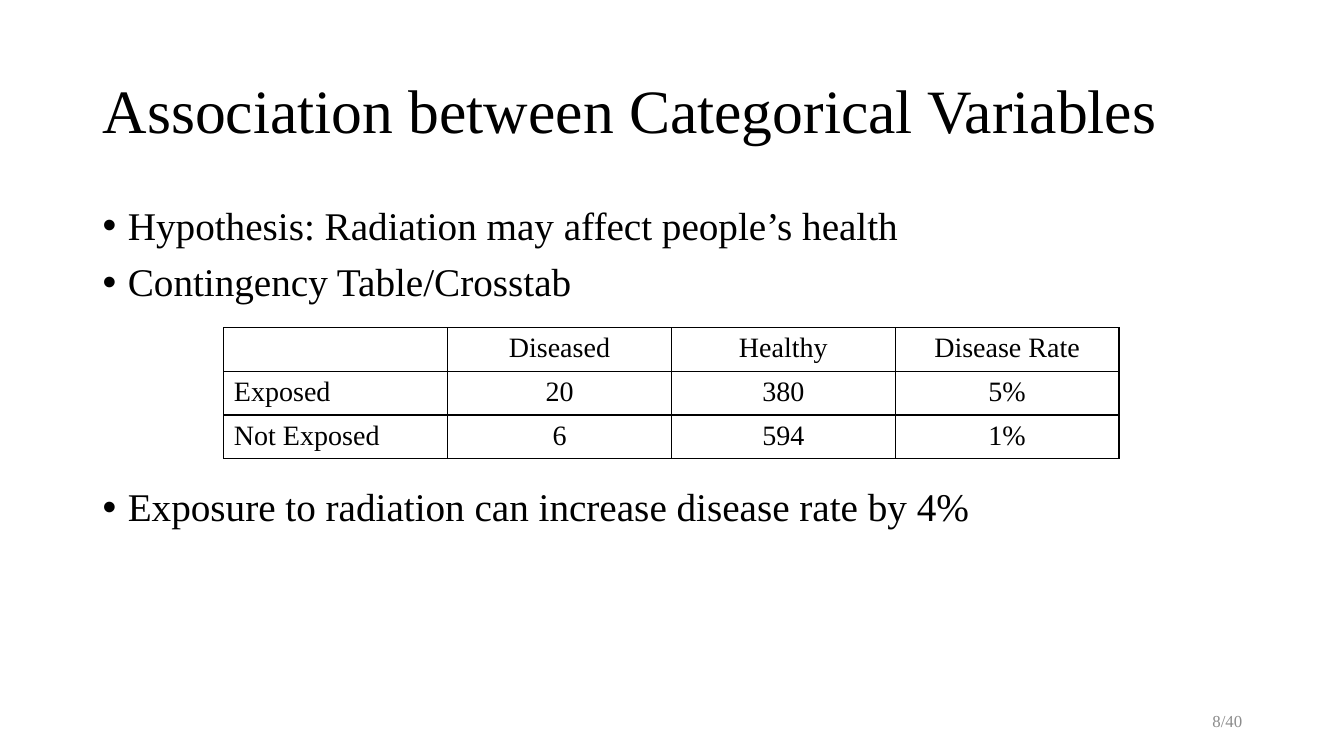
import pptx
import pptx.dml.color
import pptx.enum.text
import pptx.oxml.ns
import pptx.util
from lxml import etree

Inches, Pt = pptx.util.Inches, pptx.util.Pt
ALIGN = pptx.enum.text.PP_ALIGN
ANCHOR = pptx.enum.text.MSO_ANCHOR

# Content
TITLE = "Association between Categorical Variables"
BULLETS = [  # text, space before in points; the last one clears the table
    ("Hypothesis: Radiation may affect people’s health", 0),
    ("Contingency Table/Crosstab", 10),
    ("Exposure to radiation can increase disease rate by 4%", 130.5),
]
CROSSTAB = [
    ("", "Diseased", "Healthy", "Disease Rate"),
    ("Exposed", "20", "380", "5%"),
    ("Not Exposed", "6", "594", "1%"),
]
PAGE_NUMBER = "8/40"

# Style and layout
FONT, BLACK, GREY = "Times New Roman", "000000", "8C8C8C"
LEFT, WIDTH = 0.92, 11.5
TABLE_LEFT, TABLE_TOP, COLUMN_WIDTH, ROW_HEIGHT = 2.22, 3.25, 2.22, 0.41


def color(value):
    return pptx.dml.color.RGBColor.from_string(value)


def style(paragraph, size, value=BLACK):
    paragraph.font.name = FONT
    paragraph.font.size = Pt(size)
    paragraph.font.color.rgb = color(value)


def add_box(page, left, top, width, height, anchor):
    frame = page.shapes.add_textbox(*map(Inches, (left, top, width, height))).text_frame
    frame.word_wrap = True
    frame.vertical_anchor = anchor
    return frame


def add_bullet(paragraph):
    properties = paragraph._p.get_or_add_pPr()
    properties.set("marL", str(Inches(0.25)))
    properties.set("indent", str(-Inches(0.25)))
    for tag, name, value in (("a:buFont", "typeface", "Arial"), ("a:buChar", "char", "•")):
        etree.SubElement(properties, pptx.oxml.ns.qn(tag)).set(name, value)


def add_borders(cell):
    properties = cell._tc.get_or_add_tcPr()
    for index, side in enumerate(("a:lnL", "a:lnR", "a:lnT", "a:lnB")):
        line = etree.Element(pptx.oxml.ns.qn(side), w=str(Pt(1)))
        fill = etree.SubElement(line, pptx.oxml.ns.qn("a:solidFill"))
        etree.SubElement(fill, pptx.oxml.ns.qn("a:srgbClr"), val=BLACK)
        properties.insert(index, line)


deck = pptx.Presentation()
deck.slide_width, deck.slide_height = Inches(13.33), Inches(7.5)
page = deck.slides.add_slide(deck.slide_layouts[6])

# Title
frame = add_box(page, LEFT, 0.4, WIDTH, 1.45, ANCHOR.MIDDLE)
frame.text = TITLE
frame.paragraphs[0].line_spacing = 0.9
style(frame.paragraphs[0], 44)

# Bullets
frame = add_box(page, LEFT, 2, WIDTH, 4.76, ANCHOR.TOP)
frame.text = "\n".join(text for text, space in BULLETS)
for paragraph, (text, space) in zip(frame.paragraphs, BULLETS):
    add_bullet(paragraph)
    paragraph.line_spacing = 0.9
    paragraph.space_before = Pt(space)
    style(paragraph, 28)

# Contingency table
rows, columns = len(CROSSTAB), len(CROSSTAB[0])
table = page.shapes.add_table(
    rows, columns, Inches(TABLE_LEFT), Inches(TABLE_TOP),
    Inches(columns * COLUMN_WIDTH), Inches(rows * ROW_HEIGHT)).table
table.first_row = table.horz_banding = False
for column in table.columns:
    column.width = Inches(COLUMN_WIDTH)
for row, texts in enumerate(CROSSTAB):
    table.rows[row].height = Inches(ROW_HEIGHT)
    for column, text in enumerate(texts):
        cell = table.cell(row, column)
        cell.fill.background()
        add_borders(cell)
        cell.text = text
        paragraph = cell.text_frame.paragraphs[0]
        paragraph.alignment = ALIGN.CENTER if column else ALIGN.LEFT
        style(paragraph, 20)

# Page number
frame = add_box(page, 9.42, 6.95, 3, 0.4, ANCHOR.MIDDLE)
frame.text = PAGE_NUMBER
frame.paragraphs[0].alignment = ALIGN.RIGHT
style(frame.paragraphs[0], 12, GREY)

deck.save("out.pptx")
